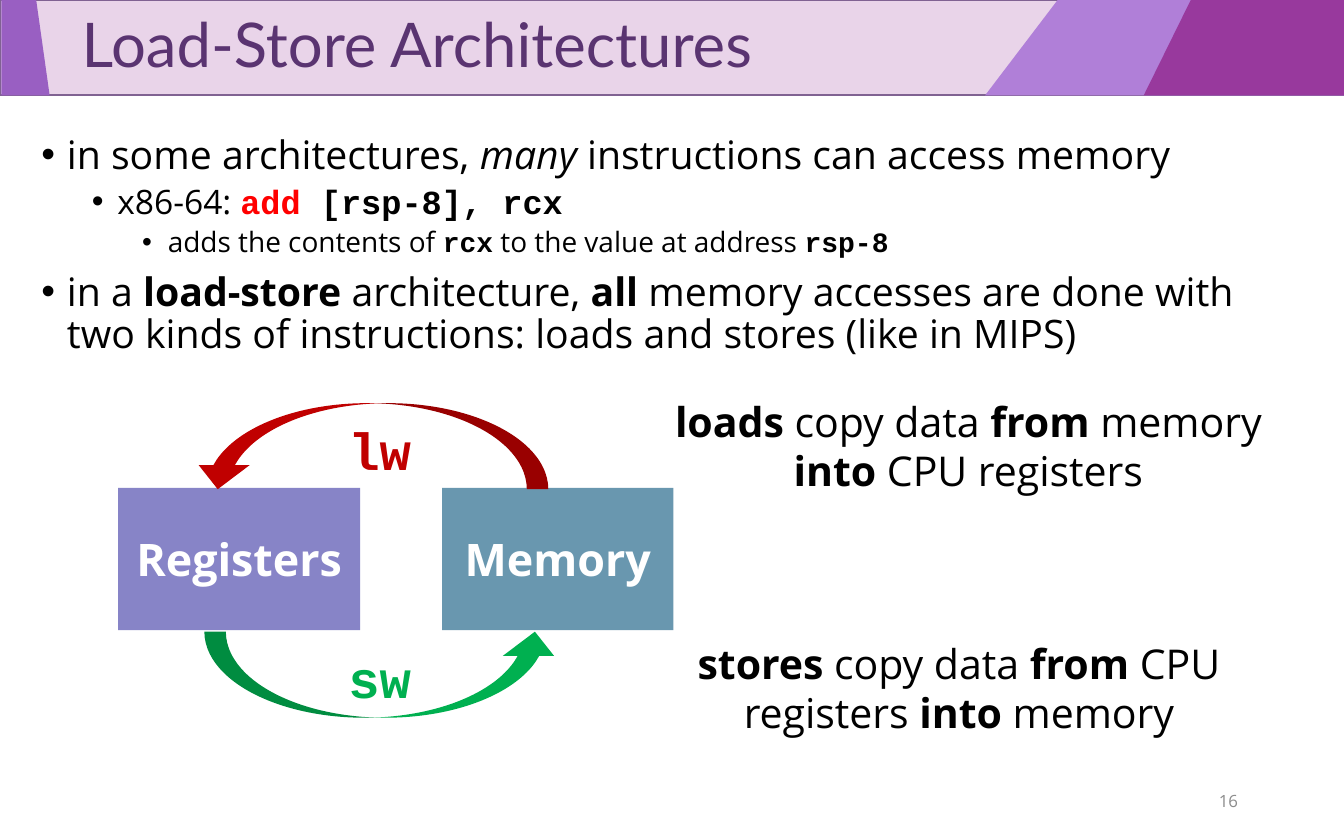
"""Build a slide that explains load-store architectures."""
from lxml import etree
from pptx import Presentation
from pptx.dml.color import RGBColor
from pptx.enum.shapes import MSO_SHAPE
from pptx.enum.text import MSO_ANCHOR, PP_ALIGN
from pptx.oxml.ns import qn
from pptx.util import Inches, Pt

RECTANGLE, CURVED_ARROW = MSO_SHAPE.RECTANGLE, MSO_SHAPE.CURVED_DOWN_ARROW
TOP, MIDDLE = MSO_ANCHOR.TOP, MSO_ANCHOR.MIDDLE
LEFT, CENTER, RIGHT = PP_ALIGN.LEFT, PP_ALIGN.CENTER, PP_ALIGN.RIGHT

BLACK = RGBColor(0x00, 0x00, 0x00)
WHITE = RGBColor(0xFF, 0xFF, 0xFF)
GRAY = RGBColor(0x8C, 0x8C, 0x8C)
RED = RGBColor(0xFF, 0x00, 0x00)
LOAD_RED = RGBColor(0xC0, 0x00, 0x00)
STORE_GREEN = RGBColor(0x00, 0xB0, 0x50)
REGISTER_VIOLET = RGBColor(0x87, 0x84, 0xC7)
MEMORY_BLUE = RGBColor(0x69, 0x97, 0xAF)
TITLE_PURPLE = RGBColor(0x5A, 0x34, 0x71)
BANNER_PINK = RGBColor(0xE9, 0xD4, 0xE9)
BANNER_EDGE = RGBColor(0x80, 0x62, 0x92)
LILAC = RGBColor(0xB0, 0x7F, 0xD8)
PURPLE = RGBColor(0x99, 0x5F, 0xC2)
MAGENTA = RGBColor(0x98, 0x39, 0x9D)

SANS, MONO, HEADING = "Open Sans", "Courier New", "Lato"
BANNER_HEIGHT = 0.71


def add_text_frame(left, top, width, height, anchor=TOP):
    frame = slide.shapes.add_textbox(
        Inches(left), Inches(top), Inches(width), Inches(height)).text_frame
    frame.word_wrap = True
    frame.vertical_anchor = anchor
    return frame


def write(paragraph, size, pieces, align=LEFT):
    paragraph.alignment = align
    for text, font, color, bold, italic in pieces:
        run = paragraph.add_run()
        run.text = text
        run.font.name = font
        run.font.size = Pt(size)
        run.font.color.rgb = color
        run.font.bold = bold
        run.font.italic = italic


prs = Presentation()
prs.slide_width, prs.slide_height = Inches(10), Inches(6.25)
slide = prs.slides.add_slide(prs.slide_layouts[6])

banner = slide.shapes.add_shape(RECTANGLE, 0, 0, Inches(10), Inches(BANNER_HEIGHT))
banner.shadow.inherit = False
banner.fill.solid()
banner.fill.fore_color.rgb = BANNER_PINK
banner.line.color.rgb = BANNER_EDGE
banner.line.width = Pt(1)

for top_left, top_right, bottom_right, bottom_left, color in (
    (7.87, 10, 10, 7.33, LILAC),
    (0.01, 0.27, 0.37, 0.01, PURPLE),
    (8.86, 10, 10, 8.51, MAGENTA),
):
    outline = slide.shapes.build_freeform(Inches(top_left), 0)
    outline.add_line_segments([
        (Inches(top_right), 0),
        (Inches(bottom_right), Inches(BANNER_HEIGHT)),
        (Inches(bottom_left), Inches(BANNER_HEIGHT)),
    ])
    stripe = outline.convert_to_shape()
    stripe.shadow.inherit = False
    stripe.fill.solid()
    stripe.fill.fore_color.rgb = color
    stripe.line.fill.background()

title = add_text_frame(0.01, 0, 10, BANNER_HEIGHT, MIDDLE).paragraphs[0]
title.line_spacing = 0.9
title._p.get_or_add_pPr().set("marL", str(Inches(0.5)))
write(title, 33, [("Load-Store Architectures", HEADING, TITLE_PURPLE, False, False)])

page_number = add_text_frame(7.06, 5.79, 2.25, 0.33, MIDDLE).paragraphs[0]
write(page_number, 9, [("16", SANS, GRAY, False, False)], RIGHT)

plain = (SANS, BLACK, False, False)
strong = (SANS, BLACK, True, False)
emphasis = (SANS, BLACK, False, True)
code = (MONO, BLACK, True, False)
opcode = (MONO, RED, True, False)

points = (
    (0, 21, 7.5, [("in some architectures, ", *plain), ("many", *emphasis),
                  (" instructions can access memory", *plain)]),
    (1, 18, 3.8, [("x86-64: ", *plain), ("add", *opcode), (" [rsp-8], rcx", *code)]),
    (2, 15, 3.8, [("adds the contents of ", *plain), ("rcx", *code),
                  (" to the value at address ", *plain), ("rsp-8", *code)]),
    (0, 21, 7.5, [("in a ", *plain), ("load-store", *strong),
                  (" architecture, ", *plain), ("all ", *strong),
                  ("memory accesses are done with two kinds of instructions: "
                   "loads and stores (like in MIPS)", *plain)]),
)
body = add_text_frame(0.21, 0.96, 9.58, 2.1)
for index, (level, size, space_before, pieces) in enumerate(points):
    point = body.add_paragraph() if index else body.paragraphs[0]
    point.level = level
    point.line_spacing = 0.9
    point.space_before = Pt(space_before)
    properties = point._p.get_or_add_pPr()
    properties.set("marL", str(Inches(0.19 + 0.375 * level)))
    properties.set("indent", str(Inches(-0.19)))
    etree.SubElement(properties, qn("a:buFont")).set("typeface", "Arial")
    etree.SubElement(properties, qn("a:buChar")).set("char", "•")
    write(point, size, pieces)

for name, left, width, color in (
    ("Registers", 0.88, 1.8, REGISTER_VIOLET),
    ("Memory", 3.29, 1.72, MEMORY_BLUE),
):
    store = slide.shapes.add_shape(
        RECTANGLE, Inches(left), Inches(3.63), Inches(width), Inches(1.06))
    store.shadow.inherit = False
    store.fill.solid()
    store.fill.fore_color.rgb = color
    store.line.fill.background()
    store.text_frame.vertical_anchor = MIDDLE
    write(store.text_frame.paragraphs[0], 24, [(name, SANS, WHITE, True, False)], CENTER)

transfers = (
    ("lw", LOAD_RED, 1.43, 3, 0, 3.06, 4.88, 2.9,
     [("loads ", *strong), ("copy data ", *plain), ("from", *strong),
      (" memory ", *plain), ("into", *strong), (" CPU registers", *plain)]),
    ("sw", STORE_GREEN, 1.52, 4.7, 180, 4.76, 4.81, 4.7,
     [("stores ", *strong), ("copy data ", *plain), ("from", *strong),
      (" CPU registers ", *plain), ("into", *strong), (" memory", *plain)]),
)
for (mnemonic, color, arrow_left, arrow_top, rotation, mnemonic_top,
     summary_left, summary_top, summary) in transfers:
    arrow = slide.shapes.add_shape(
        CURVED_ARROW, Inches(arrow_left), Inches(arrow_top), Inches(2.65), Inches(0.64))
    arrow.shadow.inherit = False
    arrow.fill.solid()
    arrow.fill.fore_color.rgb = color
    arrow.line.fill.background()
    for index, amount in enumerate((0.25, 0.595, 0.281)):
        arrow.adjustments[index] = amount
    arrow.rotation = rotation
    arrow._element.spPr.get_or_add_xfrm().set("flipH", "1")

    label = add_text_frame(2.51, mnemonic_top, 0.63, 0.57)
    label.margin_left = label.margin_right = 0
    label.word_wrap = False
    write(label.paragraphs[0], 28, [(mnemonic, MONO, color, True, False)], CENTER)
    explanation = add_text_frame(summary_left, summary_top, 4.65, 0.84).paragraphs[0]
    write(explanation, 22, summary, CENTER)

prs.save("out.pptx")
